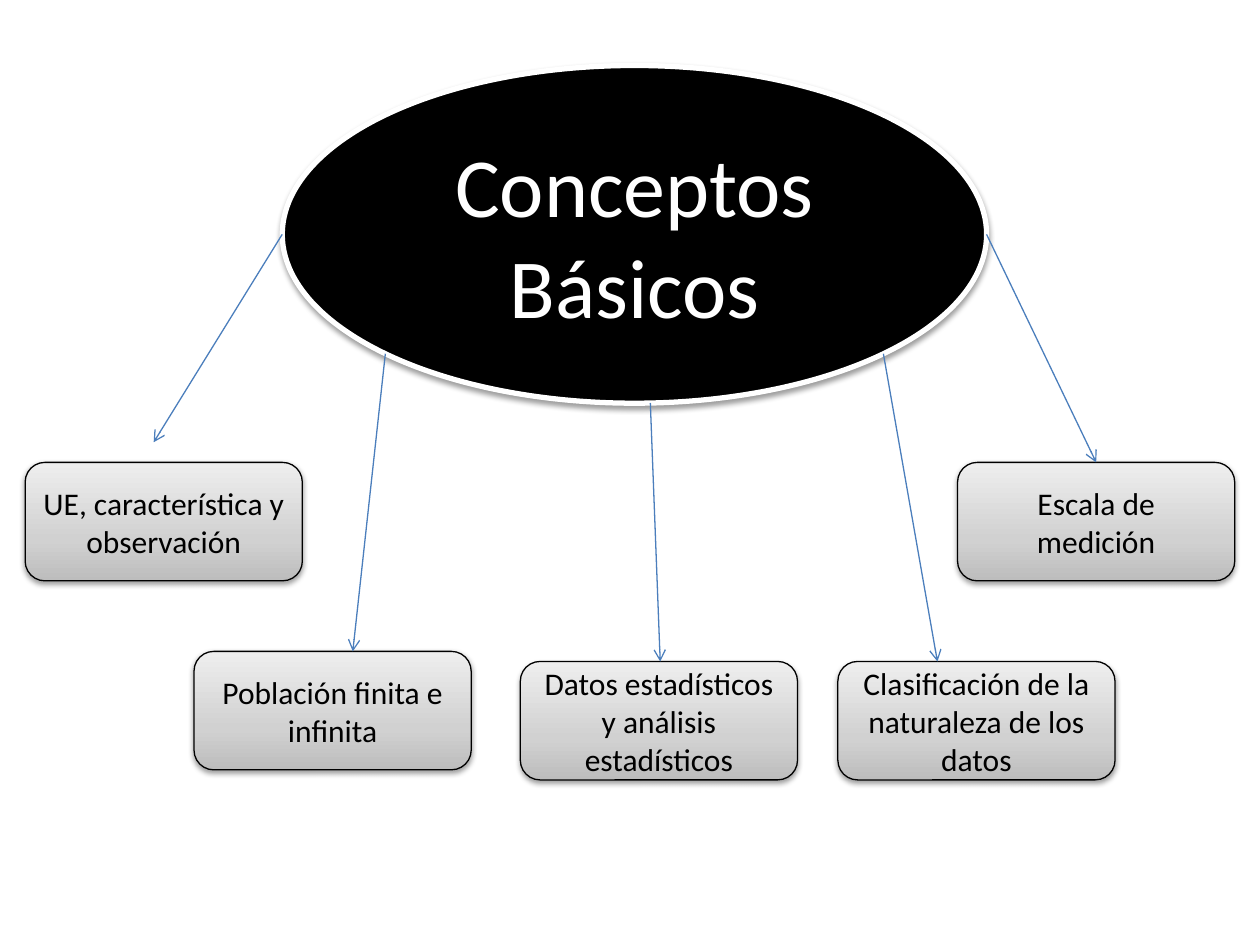
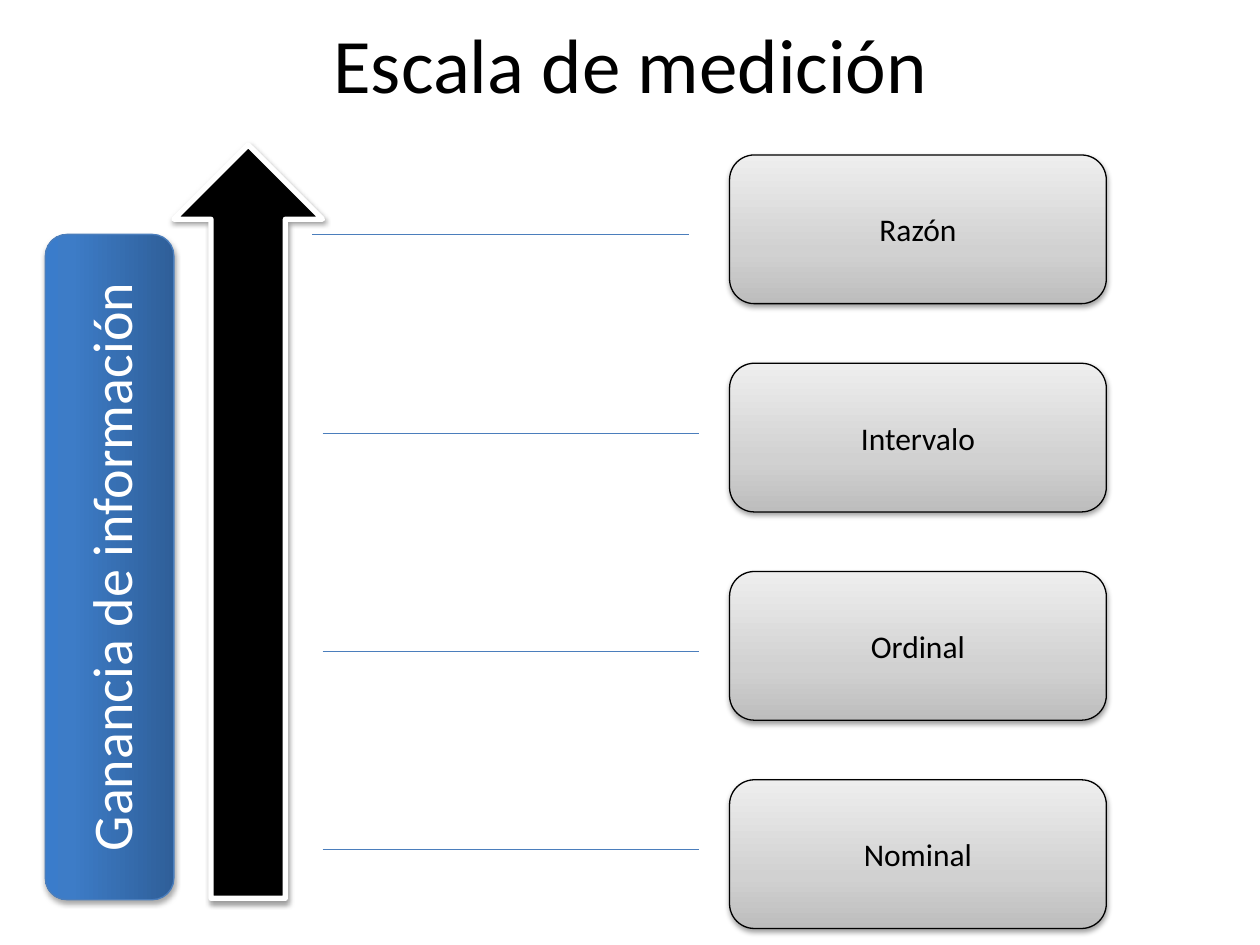
from copy import deepcopy
from math import cos, radians, sin

from pptx import Presentation
from pptx import util as u
from pptx.dml.color import RGBColor
from pptx.enum import shapes, text
from pptx.oxml import parse_xml
from pptx.oxml.ns import nsdecls
from lxml import etree

FONT = "Calibri"
BLACK = RGBColor(0x00, 0x00, 0x00)
WHITE = RGBColor(0xFF, 0xFF, 0xFF)
BLUE = RGBColor(0x4B, 0x7E, 0xBC)
GREY_GRADIENT = [
    (0, RGBColor(0xBD, 0xBD, 0xBD)),
    (0.35, RGBColor(0xD1, 0xD1, 0xD1)),
    (1, RGBColor(0xEE, 0xEE, 0xEE)),
]
BLUE_GRADIENT = [
    (0, RGBColor(0x2F, 0x5F, 0x99)),
    (0.8, RGBColor(0x3D, 0x7C, 0xC7)),
    (1, RGBColor(0x3A, 0x7C, 0xCB)),
]

HUB_TEXT = "Conceptos Básicos"
HUB = (2.24, 0.52, 5.59, 2.68)
CONCEPT_SIZE = (2.2, 0.94)
CONCEPTS = [
    ("UE, característica y observación", (0.2, 3.67), 180, (1.22, 3.51)),
    ("Población finita e infinita", (1.54, 5.17), 135, (2.8, 5.17)),
    ("Datos estadísticos y análisis estadísticos", (4.13, 5.25), 87.4, (5.24, 5.25)),
    ("Clasificación de la naturaleza de los datos", (6.65, 5.25), 45, (7.44, 5.25)),
    ("Escala de medición", (7.6, 3.67), 0, (8.7, 3.67)),
]

SCALE_TITLE = "Escala de medición"
SCALE_LABEL = "Ganancia de información"
SCALES = [
    ("Razón", (2.48, 1.86)),
    ("Intervalo", (2.56, 3.44)),
    ("Ordinal", (2.56, 5.17)),
    ("Nominal", (2.56, 6.74)),
]
SCALE_BOX = (5.79, 1.23, 2.99, 1.18)
SCALE_PITCH = 1.653


def inches(values):
    return [u.Inches(value) for value in values]


def write(shape, content, size, color):
    frame = shape.text_frame
    frame.text = content
    frame.word_wrap = True
    frame.vertical_anchor = text.MSO_ANCHOR.MIDDLE
    paragraph = frame.paragraphs[0]
    paragraph.alignment = text.PP_ALIGN.CENTER
    font = paragraph.runs[0].font
    font.name, font.size, font.color.rgb = FONT, u.Pt(size), color


def fill_gradient(shape, stops):
    shape.fill.gradient()
    shape.fill.gradient_angle = 90
    stop_list = shape.fill._fill._gradFill.gsLst
    stop_list.append(deepcopy(stop_list[-1]))
    for stop, (position, color) in zip(shape.fill.gradient_stops, stops):
        stop.position = position
        stop.color.rgb = color


def add_shadow(shape, distance, opacity):
    shape.shadow.inherit = False
    effects = shape._element.spPr.find("{*}effectLst")
    effects.append(parse_xml(
        f'<a:outerShdw {nsdecls("a")} blurRad="40000" dist="{distance}" dir="5400000" rotWithShape="0">'
        f'<a:srgbClr val="{BLACK}"><a:alpha val="{opacity}000"/></a:srgbClr></a:outerShdw>'
    ))


def add_figure(slide, kind, box, fill, line, width, distance=20000, opacity=38):
    shape = slide.shapes.add_shape(kind, *inches(box))
    if isinstance(fill, list):
        fill_gradient(shape, fill)
    else:
        shape.fill.solid()
        shape.fill.fore_color.rgb = fill
    shape.line.color.rgb = line
    shape.line.width = u.Pt(width)
    add_shadow(shape, distance, opacity)
    return shape


def add_grey_box(slide, content, box):
    shape = add_figure(slide, shapes.MSO_SHAPE.ROUNDED_RECTANGLE, box, GREY_GRADIENT, BLACK, 0.75)
    write(shape, content, 18, BLACK)


def add_line(slide, start, end, arrow=False):
    connector = slide.shapes.add_connector(shapes.MSO_CONNECTOR.STRAIGHT, *inches(start + end))
    connector.line.color.rgb = BLUE
    connector.line.width = u.Pt(0.75)
    if arrow:
        line = connector.line._get_or_add_ln()
        line.append(parse_xml(f'<a:tailEnd {nsdecls("a")} type="arrow"/>'))
    properties = connector._element.spPr
    etree.SubElement(properties, "{http://schemas.openxmlformats.org/drawingml/2006/main}effectLst")


def build_concepts(presentation):
    slide = presentation.slides.add_slide(presentation.slide_layouts[6])
    hub = add_figure(slide, shapes.MSO_SHAPE.OVAL, HUB, BLACK, WHITE, 3)
    write(hub, HUB_TEXT, 48, WHITE)
    left, top, width, height = HUB
    for content, corner, angle, target in CONCEPTS:
        add_grey_box(slide, content, corner + CONCEPT_SIZE)
        turn = radians(angle)
        start = (left + width / 2 * (1 + cos(turn)), top + height / 2 * (1 + sin(turn)))
        add_line(slide, start, target, arrow=True)


def build_scales(presentation):
    slide = presentation.slides.add_slide(presentation.slide_layouts[5])
    title = slide.shapes.title
    title.left, title.top, title.width, title.height = inches((0.2, 0, 9.61, 0.99))
    write(title, SCALE_TITLE, 44, BLACK)
    add_figure(slide, shapes.MSO_SHAPE.UP_ARROW, (1.38, 1.15, 1.18, 5.98), BLACK, WHITE, 3)
    left, top, width, height = SCALE_BOX
    for row, (content, (x, y)) in enumerate(SCALES):
        add_line(slide, (x, y), (x + width, y))
        add_grey_box(slide, content, (left, top + row * SCALE_PITCH, width, height))
    label = add_figure(slide, shapes.MSO_SHAPE.ROUNDED_RECTANGLE, (-1.77, 3.99, 5.28, 1.02),
                       BLUE_GRADIENT, BLUE, 0.75, 23000, 35)
    label.rotation = 270
    write(label, SCALE_LABEL, 32, WHITE)


def main():
    presentation = Presentation()
    presentation.slide_width, presentation.slide_height = inches((10, 7.5))
    build_concepts(presentation)
    build_scales(presentation)
    presentation.save("out.pptx")


if __name__ == "__main__":
    main()
